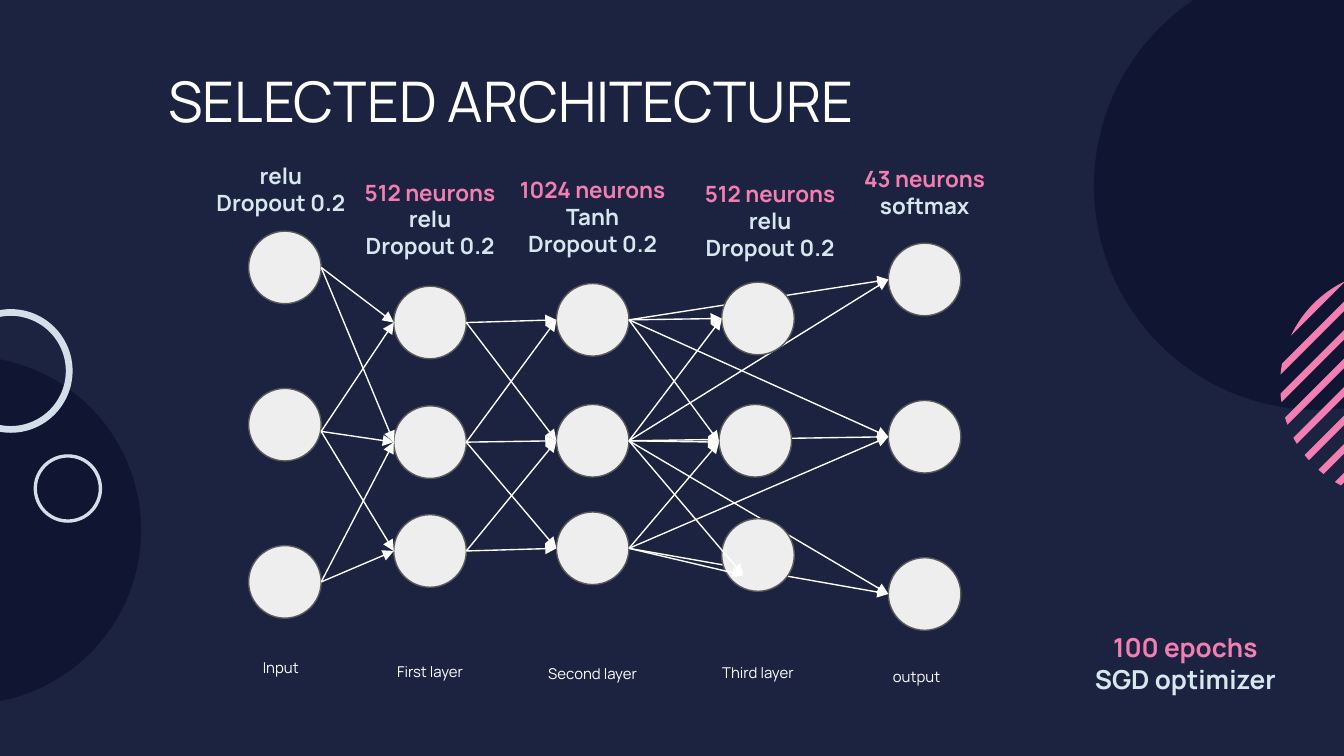
import math
from dataclasses import dataclass

from lxml import etree
from pptx import Presentation, util as u
from pptx.dml.color import RGBColor
from pptx.enum import shapes, text
from pptx.oxml import ns


@dataclass(frozen=True)
class Theme:
    """Colours, type sizes and font of the deck."""
    font: str = "Manrope"
    background: str = "1C2340"
    disc: str = "101632"
    pink: str = "F27EB2"
    ring: str = "D2DFE9"
    pale: str = "D7E7EF"
    white: str = "FFFFFF"
    node: str = "EEEEEE"
    outline: str = "595959"
    title: int = 30
    summary: int = 14
    label: int = 12
    caption: int = 8
    line: float = 0.75


@dataclass
class Layer:
    """One network layer, placed in grid cells."""
    nodes: list
    caption: tuple
    label: tuple
    entries: list = None
    exits: list = None

    def __post_init__(self):
        """Put missing arrow ends at the middle of each node's side."""
        half = NODE / 2
        self.entries = self.entries or [(x, y + half) for x, y in self.nodes]
        self.exits = self.exits or [(x + NODE, y + half) for x, y in self.nodes]


THEME = Theme()
COLUMNS, ROWS = 100, 56.25
NODE = 5.4
LABEL_WIDTH = 13.2
DROPOUT = "Dropout 0.2"


def cell(count):
    """Return the length of a number of grid cells."""
    return u.Inches(count * 10 / COLUMNS)


def colour(value):
    """Return a colour from its hex value."""
    return RGBColor.from_string(value)


def paint(shape, fill, outline=None):
    """Give a shape a flat fill and an optional outline."""
    shape.shadow.inherit = False
    shape.fill.solid()
    shape.fill.fore_color.rgb = colour(fill)
    if outline:
        shape.line.color.rgb = colour(outline)
        shape.line.width = u.Pt(THEME.line)
    else:
        shape.line.fill.background()


def add_round(page, preset, left, top, size, fill, outline=None):
    """Add a filled round shape and return it."""
    shape = page.shapes.add_shape(preset, *map(cell, (left, top, size, size)))
    paint(shape, fill, outline)
    return shape


def add_ring(page, centre, radius, thickness):
    """Add a ring around a centre."""
    left, top = (value - radius for value in centre)
    ring = add_round(page, shapes.MSO_SHAPE.DONUT, left, top, 2 * radius, THEME.ring)
    ring.adjustments[0] = thickness / (2 * radius)


def add_striped_disc(page, centre, radius, count, step, width):
    """Add diagonal stripes cut to a disc."""
    def rim(angle):
        """Return the rim point at an angle from the upper left."""
        turn = math.pi / 4 + angle
        return (cell(centre[0] - radius * math.cos(turn)),
                cell(centre[1] - radius * math.sin(turn)))

    for index in range(count):
        near, far = (math.acos(1 - depth / radius)
                     for depth in (index * step, index * step + width))
        arc = [near + (far - near) * part / 8 for part in range(9)]
        outline = [rim(a) for a in arc] + [rim(-a) for a in reversed(arc)]
        builder = page.shapes.build_freeform(*outline[0], scale=1.0)
        builder.add_line_segments(outline[1:], close=True)
        paint(builder.convert_to_shape(), THEME.pink)


def add_text(page, place, lines, size, align=text.PP_ALIGN.CENTER,
             anchor=text.MSO_ANCHOR.TOP, bold=False):
    """Add a text box from (wording, colour) lines."""
    box = page.shapes.add_textbox(*map(cell, place))
    frame = box.text_frame
    frame.word_wrap = True
    frame.vertical_anchor = anchor
    frame.margin_left = frame.margin_right = cell(1)
    frame.margin_top = frame.margin_bottom = cell(1)
    for index, (wording, tone) in enumerate(lines):
        paragraph = frame.add_paragraph() if index else frame.paragraphs[0]
        paragraph.text = wording
        paragraph.alignment = align
        paragraph.font.name = THEME.font
        paragraph.font.size = u.Pt(size)
        paragraph.font.bold = bold
        paragraph.font.color.rgb = colour(tone)


def add_arrow(page, start, end):
    """Add a straight arrow between two grid points."""
    arrow = page.shapes.add_connector(
        shapes.MSO_CONNECTOR.STRAIGHT, *map(cell, (*start, *end)))
    arrow.line.color.rgb = colour(THEME.white)
    arrow.line.width = u.Pt(THEME.line)
    outline = arrow._element.spPr.find(ns.qn("a:ln"))
    etree.SubElement(outline, ns.qn("a:tailEnd"), type="triangle")
    etree.SubElement(arrow._element.spPr, ns.qn("a:effectLst"))


def add_nodes(page, layer):
    """Draw the neurons of a layer."""
    for left, top in layer.nodes:
        add_round(page, shapes.MSO_SHAPE.OVAL, left, top, NODE, THEME.node, THEME.outline)


def link_layers(page, source, target):
    """Join each neuron to the same and adjoining rows of the next layer."""
    for i, start in enumerate(source.exits):
        for j, end in enumerate(target.entries):
            if abs(i - j) <= 1:
                add_arrow(page, start, end)


def add_layer_text(page, layer):
    """Add the settings above a layer and its name below."""
    left, top, name = layer.caption
    add_text(page, (left, top, LABEL_WIDTH, 4.1), [(name, THEME.white)],
             THEME.caption, anchor=text.MSO_ANCHOR.MIDDLE)
    left, top, *wordings = layer.label
    lines = [(wording, THEME.pink if "neurons" in wording else THEME.pale)
             for wording in wordings]
    add_text(page, (left, top, LABEL_WIDTH, 5.4), lines, THEME.label, bold=True)


def add_backdrop(page):
    """Add the background and its decorations."""
    page.background.fill.solid()
    page.background.fill.fore_color.rgb = colour(THEME.background)
    add_round(page, shapes.MSO_SHAPE.OVAL, 81.4, -2.8, 33.3, THEME.disc)
    add_round(page, shapes.MSO_SHAPE.OVAL, -15.4, 26.5, 25.9, THEME.disc)
    add_striped_disc(page, (103.75, 28.6), 8.5, count=8, step=1.5, width=0.5)
    add_ring(page, (0.8, 27.6), 4.6, 0.5)
    add_ring(page, (5.05, 36.35), 2.55, 0.25)


def add_network(page):
    """Draw the five layers, their links and their texts."""
    entry = Layer([(18.5, 17.2), (18.5, 28.9), (18.5, 40.6)], (14.3, 47.6, "Input"),
                  (14.3, 11.1, "relu", DROPOUT),
                  exits=[(23.9, 19.9), (23.9, 32.1), (23.9, 43.3)])
    first = Layer([(29.3, 21.3), (29.3, 30.2), (29.3, 38.3)], (25.4, 47.9, "First layer"),
                  (25.4, 12.3, "512 neurons", "relu", DROPOUT))
    second = Layer([(41.4, 21.1), (41.4, 30.1), (41.4, 38.1)], (37.5, 48.1, "Second layer"),
                   (37.5, 12.1, "1024 neurons", "Tanh", DROPOUT))
    third = Layer([(53.7, 21), (53.5, 30.1), (53.7, 38.6)], (49.8, 48, "Third layer"),
                  (50.7, 12.4, "512 neurons", "relu", DROPOUT),
                  entries=[(53.7, 23.7), (53.5, 32.9), (55.3, 42.8)])
    output = Layer([(66.1, 18.1), (66.1, 29.8), (66.1, 41.5)], (61.6, 48.3, "output"),
                   (62.2, 11.3, "43 neurons", "softmax"))
    for layer in (entry, first, second, output):
        add_nodes(page, layer)
    for source, target in ((entry, first), (first, second), (second, output)):
        link_layers(page, source, target)
    add_nodes(page, third)
    link_layers(page, second, third)
    for layer in (entry, first, second, third, output):
        add_layer_text(page, layer)


def main():
    """Build and save the slide."""
    deck = Presentation()
    deck.slide_width, deck.slide_height = cell(COLUMNS), cell(ROWS)
    page = deck.slides.add_slide(deck.slide_layouts[6])
    add_backdrop(page)
    add_text(page, (11.55, 3.95, 61.5, 8.6), [("SELECTED ARCHITECTURE", THEME.white)],
             THEME.title, text.PP_ALIGN.LEFT)
    add_network(page)
    add_text(page, (79.2, 46, 18, 7.8),
             [("100 epochs", THEME.pink), ("SGD optimizer", THEME.pale)],
             THEME.summary, bold=True)
    deck.save("out.pptx")


if __name__ == "__main__":
    main()
